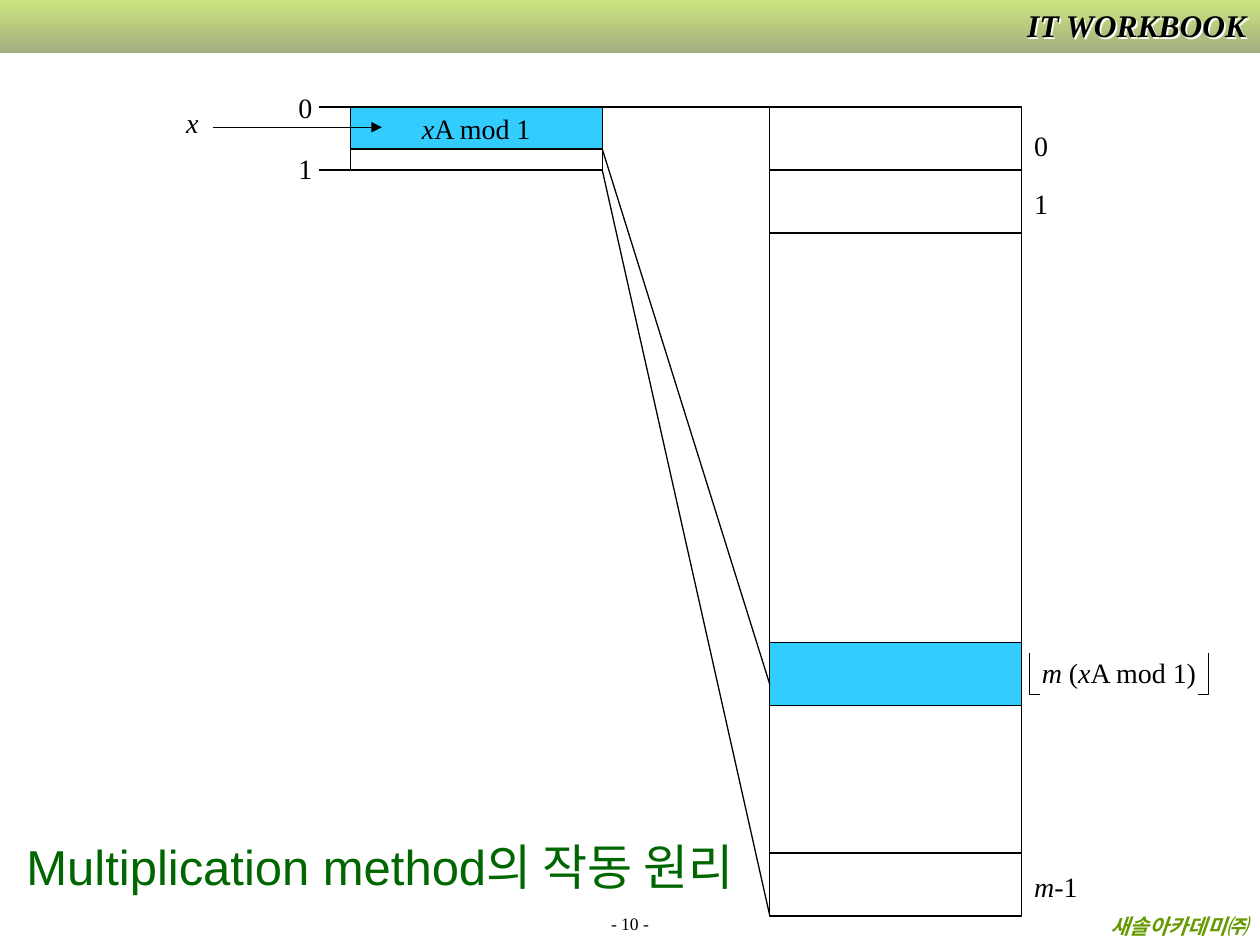
"""Build the slide that shows how the multiplication method of hashing works."""
from pptx import Presentation
from pptx.dml.color import RGBColor
from pptx.enum.shapes import MSO_CONNECTOR, MSO_SHAPE
from pptx.enum.text import MSO_ANCHOR, PP_ALIGN
from pptx.oxml import parse_xml
from pptx.util import Inches, Pt

NAMESPACE = 'xmlns:a="http://schemas.openxmlformats.org/drawingml/2006/main"'
COLORS = {"black": "000000", "cell": "33CCFF", "title": "006600", "publisher": "669900",
          "band_top": "CCE580", "band_bottom": "A3AF80", "shadow": "FFFFFF"}
SERIF, SANS = "Times New Roman", "Arial"
WIDTH, HEIGHT = 10, 7.5
TOP, ROW, COLUMN = 0.85, 0.5, 2
UNIT_LEFT, TABLE_LEFT = 2.78, 6.11
UNIT_RIGHT, TABLE_RIGHT = UNIT_LEFT + COLUMN, TABLE_LEFT + COLUMN
TABLE_HEIGHT, HASH_HEIGHT, SLOT_TOP = 6.42, ROW * 2 / 3, 5.1
BOTTOM = TOP + TABLE_HEIGHT
LABEL_HEIGHT, TICK = 0.37, 0.25
BRACKET_TOP, BRACKET_BOTTOM, BRACKET_FOOT = 5.18, 5.51, 0.08

TITLE = "Multiplication method의 작동 원리"
HASH_TEXT = [("x", True), ("A mod 1", False)]
LABELS = [
    (2.27, 0.67, 0.31, [("0", False)]),
    (2.27, 1.15, 0.31, [("1", False)]),
    (TABLE_RIGHT, 0.97, 0.31, [("0", False)]),
    (TABLE_RIGHT, 1.43, 0.31, [("1", False)]),
    (TABLE_RIGHT, 6.85, 0.6, [("m", True), ("-1", False)]),
    (1.38, 0.79, 0.3, [("x", True)]),
    (8.17, 5.15, 1.43, [("m ", True), ("(", False), ("x", True), ("A mod 1)", False)]),
]
BOXES = [
    (TABLE_LEFT, TOP, TABLE_HEIGHT, None, []),
    (UNIT_LEFT, TOP, ROW, None, []),
    (UNIT_LEFT, TOP, HASH_HEIGHT, "cell", HASH_TEXT),
    (TABLE_LEFT, SLOT_TOP, ROW, "cell", []),
]
ROW_LINES = [TOP + ROW, TOP + 2 * ROW, BOTTOM - ROW]
PROJECTIONS = [(TOP, TOP), (TOP + HASH_HEIGHT, SLOT_TOP + HASH_HEIGHT), (TOP + ROW, BOTTOM)]
BRACKETS = [(8.17, BRACKET_FOOT), (9.59, -BRACKET_FOOT)]


def color(name):
    return RGBColor.from_string(COLORS[name])


def write(frame, spans, ink="black", align=PP_ALIGN.LEFT, wrap=False,
          anchor=MSO_ANCHOR.TOP, **font):
    frame.word_wrap, frame.vertical_anchor = wrap, anchor
    para = frame.paragraphs[0]
    para.alignment = align
    for text, italic in spans:
        span = para.add_run()
        span.text = text
        values = {"name": SERIF, "size": Pt(16), "italic": italic, **font}
        for key, value in values.items():
            setattr(span.font, key, value)
        span.font.color.rgb = color(ink)


def add_text(slide, left, top, width, height, spans, **values):
    box = slide.shapes.add_textbox(*map(Inches, (left, top, width, height)))
    write(box.text_frame, spans, **values)
    return box


def outline(shape, fill=None):
    shape.shadow.inherit = False
    shape.line.color.rgb, shape.line.width = color("black"), Pt(0.75)
    if fill:
        shape.fill.solid()
        shape.fill.fore_color.rgb = color(fill)
    else:
        shape.fill.background()


def add_line(slide, *ends):
    line = slide.shapes.add_connector(MSO_CONNECTOR.STRAIGHT, *map(Inches, ends))
    line.line.color.rgb, line.line.width = color("black"), Pt(0.75)
    line._element.spPr.append(parse_xml(f"<a:effectLst {NAMESPACE}/>"))
    return line


def add_frame(slide):
    band = slide.shapes.add_shape(MSO_SHAPE.RECTANGLE, 0, 0, Inches(WIDTH), Inches(0.42))
    band.shadow.inherit = False
    band.line.fill.background()
    band.fill.gradient()
    band.fill.gradient_angle = 270
    for stop, name, position in zip(band.fill.gradient_stops, ("band_top", "band_bottom"), (0, 1)):
        stop.color.rgb, stop.position = color(name), position
    series = add_text(slide, 7.88, 0, 2.11, 0.4, [("IT WORKBOOK", True)],
                      align=PP_ALIGN.RIGHT, wrap=True, size=Pt(18), bold=True)
    series._element.spPr.append(parse_xml(
        f'<a:effectLst {NAMESPACE}><a:outerShdw dist="17961" dir="2700000">'
        f'<a:srgbClr val="{COLORS["shadow"]}"/></a:outerShdw></a:effectLst>'))
    add_text(slide, 0.06, 7.2, 9.94, 0.3, [("새솔아카데미㈜", True)], ink="publisher",
             align=PP_ALIGN.RIGHT, wrap=True, size=Pt(12), bold=True)
    add_text(slide, 0, 7.24, WIDTH, 0.22, [("- 10 -", False)], align=PP_ALIGN.CENTER,
             wrap=True, anchor=MSO_ANCHOR.BOTTOM, size=Pt(10))


def add_diagram(slide):
    for left, top, height, fill, spans in BOXES:
        box = slide.shapes.add_shape(
            MSO_SHAPE.RECTANGLE, *map(Inches, (left, top, COLUMN, height)))
        outline(box, fill)
        if spans:
            write(box.text_frame, spans, align=PP_ALIGN.CENTER, anchor=MSO_ANCHOR.MIDDLE)
    for height in ROW_LINES:
        add_line(slide, TABLE_LEFT, height, TABLE_RIGHT, height)
    for start, end in PROJECTIONS:
        add_line(slide, UNIT_RIGHT, start, TABLE_LEFT, end)
    for height in (TOP, TOP + ROW):
        add_line(slide, UNIT_LEFT - TICK, height, UNIT_LEFT, height)
    arrow = add_line(slide, 1.69, 1.01, UNIT_LEFT + TICK, 1.01)
    arrow.line._get_or_add_ln().append(parse_xml(f'<a:tailEnd {NAMESPACE} type="triangle"/>'))
    for left, top, width, spans in LABELS:
        add_text(slide, left, top, width, LABEL_HEIGHT, spans)
    for left, foot in BRACKETS:
        start, corner, end = [
            (Inches(x), Inches(y)) for x, y in
            ((left, BRACKET_TOP), (left, BRACKET_BOTTOM), (left + foot, BRACKET_BOTTOM))]
        builder = slide.shapes.build_freeform(*start)
        builder.add_line_segments([corner, end], close=False)
        outline(builder.convert_to_shape())


def main():
    deck = Presentation()
    deck.slide_width, deck.slide_height = Inches(WIDTH), Inches(HEIGHT)
    slide = deck.slides.add_slide(deck.slide_layouts[5])
    add_frame(slide)
    add_diagram(slide)
    title = slide.shapes.title
    place = {"left": 0.11, "top": 6.59, "width": 5.94, "height": 0.57}
    for key, value in place.items():
        setattr(title, key, Inches(value))
    write(title.text_frame, [(TITLE, False)], ink="title", name=SANS, size=Pt(28))
    deck.save("out.pptx")


if __name__ == "__main__":
    main()
